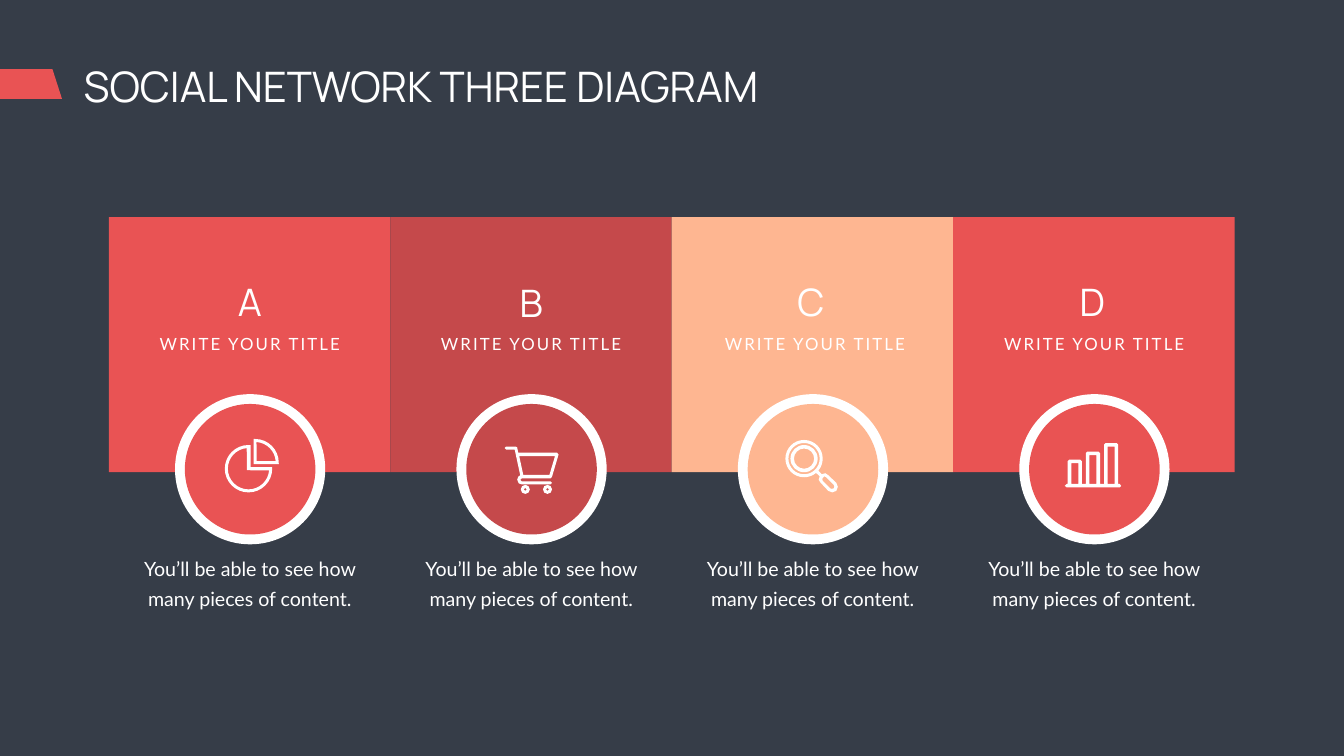
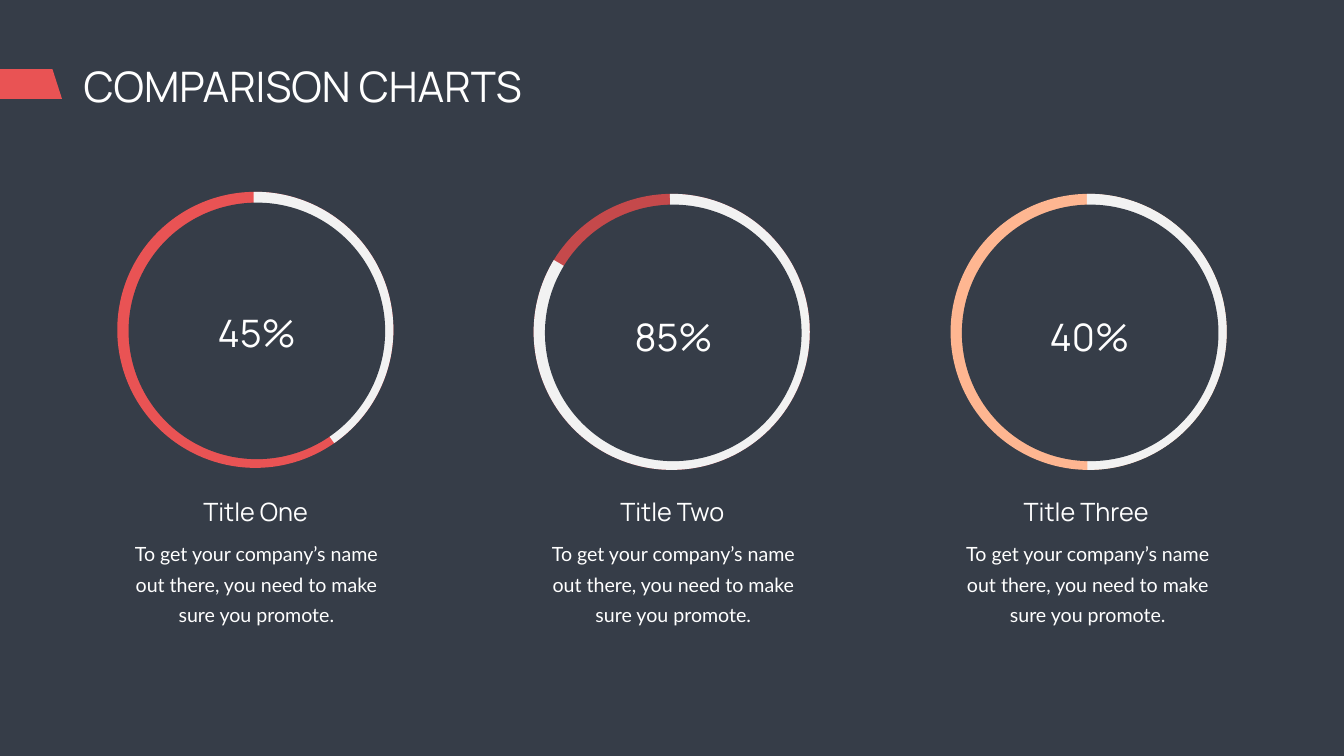
from math import cos, radians, sin, tan

from lxml.etree import SubElement
from pptx import Presentation
from pptx.dml.color import RGBColor
from pptx.enum.shapes import MSO_SHAPE
from pptx.enum.text import MSO_ANCHOR, MSO_AUTO_SIZE, PP_ALIGN
from pptx.oxml.ns import qn
from pptx.util import Inches, Pt

# Colours and fonts
SLATE = RGBColor(0x36, 0x3D, 0x48)
CORAL = RGBColor(0xE9, 0x53, 0x54)
RED = RGBColor(0xE9, 0x53, 0x53)
BRICK = RGBColor(0xC5, 0x49, 0x4B)
PEACH = RGBColor(0xFE, 0xB6, 0x91)
WHITE = RGBColor(0xFF, 0xFF, 0xFF)
PALE = RGBColor(0xF2, 0xF2, 0xF2)
HEADING, BODY = "Manrope", "Lato"

# Text styles
TITLE = {"name": HEADING, "size": Pt(60)}
FIGURE = {"name": HEADING, "size": Pt(54)}
SUBTITLE = {"name": HEADING, "size": Pt(36)}
LABEL = {"name": BODY, "size": Pt(24)}
CAPTION = {"name": BODY, "size": Pt(28)}

# Four cards: letter, colour, letter left and top, label left
BAND_LEFT, BAND_WIDTH = 2.16, 22.33
CARDS = [
    ("A", CORAL, 3.43, 5.49, 2.68),
    ("B", BRICK, 9.01, 5.51, 8.26),
    ("C", PEACH, 14.56, 5.49, 13.89),
    ("D", RED, 20.14, 5.49, 19.43),
]
CARD_CAPTION = "You’ll be able to see how many pieces of content."

# Three rings: left, top, fill, line, arc end; figure and its left and top;
# title and its left and width; caption left
RINGS = [
    (2.5, 3.98, CORAL, CORAL, 33.11, ("45%", 4.2, 6.09), ("Title One", 3.86, 2.42), 2.21),
    (10.76, 4.02, PEACH, BRICK, 126.86, ("85%", 12.47, 6.18), ("Title Two", 12.13, 2.41), 10.48),
    (19.03, 4.02, CORAL, PEACH, 54.35, ("40%", 20.72, 6.18), ("Title Three", 20.14, 2.81), 18.7),
]
RING_CAPTION = "To get your company’s name out there, you need to make sure you promote."
ARC_START = 161.56


def apply(target, values):
    for name, value in values.items():
        setattr(target, name, value)


def write(box, text, style, align=PP_ALIGN.CENTER, spacing=None, wrap=True,
          leading=None, insets=(0.1, 0.05)):
    side, edge = (Inches(inset) for inset in insets)
    frame = box.text_frame
    apply(frame, {
        "word_wrap": wrap, "auto_size": MSO_AUTO_SIZE.SHAPE_TO_FIT_TEXT,
        "vertical_anchor": MSO_ANCHOR.TOP, "margin_left": side,
        "margin_right": side, "margin_top": edge, "margin_bottom": edge,
    })
    para = frame.paragraphs[0]
    apply(para, {"alignment": align, "line_spacing": leading or 1.0})
    span = para.add_run()
    span.text = text
    apply(span.font, {**style, "bold": False})
    span.font.color.rgb = WHITE
    if spacing:
        span._r.get_or_add_rPr().set("spc", str(spacing * 100))


def add_text(page, text, style, left, top, width, height, **options):
    box = page.shapes.add_textbox(Inches(left), Inches(top), Inches(width), Inches(height))
    write(box, text, style, **options)


def add_caption(page, text, left, top, width, height):
    add_text(page, text, CAPTION, left, top, width, height,
             leading=Pt(43), insets=(0.24, 0.12))


def paint(shape, fill, line=None):
    shape.shadow.inherit = False
    if fill is None:
        shape.fill.background()
    else:
        shape.fill.solid()
        shape.fill.fore_color.rgb = fill
    if line is None:
        shape.line.fill.background()
    else:
        shape.line.color.rgb = line
        shape.line.width = Pt(25)


def add_figure(page, preset, left, top, width, height, fill=None, line=None):
    shape = page.shapes.add_shape(preset, Inches(left), Inches(top),
                                  Inches(width), Inches(height))
    paint(shape, fill, line)
    return shape


def add_outline(page, contours, fill):
    """Closed contours; a step is a point, or two control points and a point."""
    builder = None
    for contour in contours:
        first, *rest = [(Inches(step[-2]), Inches(step[-1])) for step in contour]
        if builder is None:
            builder = page.shapes.build_freeform(*first, scale=1.0)
        else:
            builder.move_to(*first)
        builder.add_line_segments(rest, close=True)
    shape = builder.convert_to_shape()
    paint(shape, fill)
    steps = [step for contour in contours for step in contour[1:]]
    for segment, step in zip(list(shape._element.iter(qn("a:lnTo"))), steps):
        if len(step) == 6:
            bend(segment, step, shape)


def bend(segment, step, shape):
    """Turn a straight segment into a Bézier curve."""
    segment.tag = qn("a:cubicBezTo")
    segment.remove(segment[0])
    for x, y in zip(step[::2], step[1::2]):
        SubElement(segment, qn("a:pt"), x=str(Inches(x) - shape.left),
                   y=str(Inches(y) - shape.top))


def arc(x, y, radius, start=0, end=360):
    """Steps clockwise along an arc, cut at the quarters, degrees from the right."""
    stops = [start] + [a for a in range(0, end, 90) if a > start] + [end]
    steps = [(x + radius * cos(radians(start)), y + radius * sin(radians(start)))]
    for a, b in zip(map(radians, stops), map(radians, stops[1:])):
        pull = 4 / 3 * tan((b - a) / 4)
        steps.append((
            x + radius * (cos(a) - pull * sin(a)), y + radius * (sin(a) + pull * cos(a)),
            x + radius * (cos(b) + pull * sin(b)), y + radius * (sin(b) - pull * cos(b)),
            x + radius * cos(b), y + radius * sin(b),
        ))
    return steps


# Icons, in slide inches
def add_pie_icon(page):
    add_outline(page, [
        [(4.97, 8.83), (4.97, 9.27), (5.4, 9.27)] + arc(4.93, 9.3, 0.47, 0, 270),
        [(4.9, 9.33)] + arc(4.93, 9.3, 0.41, 5, 265),
    ], WHITE)
    add_outline(page, [
        [(5.03, 9.21), (5.03, 8.71)] + arc(5.06, 9.18, 0.47, 270, 360) + [(5.53, 9.21)],
        [(5.09, 9.15)] + arc(5.06, 9.18, 0.41, 274, 356),
    ], WHITE)


def add_cart_icon(page):
    basket = [(11.01, 9.05), (10.9, 9.42), (10.38, 9.42), (10.3, 9.05)]
    frame = [
        (10.04, 8.86), (10.23, 8.86), (10.26, 8.88), (10.28, 8.98), (11.05, 8.98),
        (11.08, 9.02), (10.95, 9.46), (10.92, 9.49), (10.35, 9.49), (10.32, 9.52),
        (10.35, 9.55), (10.92, 9.55), (10.95, 9.58), (10.92, 9.61), (10.35, 9.61),
        (10.29, 9.59), (10.26, 9.52), (10.28, 9.46), (10.32, 9.43), (10.21, 8.92),
        (10.04, 8.92), (10.01, 8.89),
    ]
    add_outline(page, [frame, basket], WHITE)
    for x in (10.42, 10.86):
        add_outline(page, [arc(x, 9.71, 0.09), arc(x, 9.71, 0.03)], WHITE)


def add_magnifier_icon(page):
    x, y = 15.95, 9.1
    handle = [
        (16.3, 9.41), (16.37, 9.39), (16.43, 9.43), (16.59, 9.58), (16.62, 9.66),
        (16.59, 9.74), (16.51, 9.77), (16.43, 9.74), (16.28, 9.58), (16.24, 9.52),
        (16.26, 9.45),
    ]
    slot = [
        (16.54, 9.69), (16.5, 9.7), (16.47, 9.69), (16.32, 9.54), (16.31, 9.5),
        (16.35, 9.45), (16.39, 9.47), (16.54, 9.62), (16.55, 9.66),
    ]
    add_outline(page, [arc(x, y, 0.27), arc(x, y, 0.2)], WHITE)
    add_outline(page, [arc(x, y, 0.37, 50, 400) + handle, arc(x, y, 0.31), slot], WHITE)


def add_bars_icon(page):
    base, wall = 9.6, 0.07
    outline = [(21.16, 9.67), (21.12, 9.64), (21.16, base)]
    holes = []
    for left, top in [(21.18, 9.12), (21.54, 8.96), (21.9, 8.79)]:
        right = left + 0.28
        outline += [(left, base), (left, top + 0.03), (left + 0.03, top),
                    (right - 0.03, top), (right, top + 0.03), (right, base)]
        holes.append([(left + wall, base), (left + wall, top + wall),
                      (right - wall, top + wall), (right - wall, base)])
    outline += [(22.21, base), (22.24, 9.64), (22.21, 9.67)]
    add_outline(page, [outline] + holes, WHITE)


def add_page(deck, title):
    page = deck.slides.add_slide(deck.slide_layouts[5])
    heading = page.shapes.title
    apply(heading, {"left": Inches(1.56), "top": Inches(1.16),
                    "width": Inches(14.69), "height": Inches(1.11)})
    write(heading, title, TITLE, align=PP_ALIGN.LEFT)
    add_outline(page, [[(1.04, 1.37), (0, 1.37), (0, 1.96), (1.23, 1.96)]], CORAL)
    return page


def add_cards(page):
    width = BAND_WIDTH / len(CARDS)
    lefts = [BAND_LEFT + index * width for index in range(len(CARDS))]
    for left, (_, colour, *_) in zip(lefts, CARDS):
        add_figure(page, MSO_SHAPE.RECTANGLE, left, 4.31, width, 5.06, colour)
    for left, (letter, colour, letter_left, letter_top, _) in zip(lefts, CARDS):
        for size, fill in [(2.98, WHITE), (2.59, colour)]:
            add_figure(page, MSO_SHAPE.OVAL, left + (width - size) / 2 + 0.01,
                       9.31 - size / 2, size, size, fill)
        add_text(page, letter, FIGURE, letter_left, letter_top, 3.05, 1.01, spacing=3)
    for *_, label_left in CARDS:
        add_text(page, "WRITE YOUR TITLE", LABEL, label_left, 6.57, 4.55, 0.5, spacing=3)
    for add_icon in (add_pie_icon, add_cart_icon, add_magnifier_icon, add_bars_icon):
        add_icon(page)
    for left in lefts:
        add_caption(page, CARD_CAPTION, left + 0.42, 10.8, 4.75, 1.39)


def add_ring(page, left, top, fill, line, arc_end, figure):
    size, hole = 5.13, 5.09
    add_figure(page, MSO_SHAPE.OVAL, left, top, size, size, fill, line)
    track = add_figure(page, MSO_SHAPE.ARC, left, top, size, size, line=PALE)
    track.adjustments[0] = ARC_START
    track.adjustments[1] = arc_end
    add_figure(page, MSO_SHAPE.OVAL, left + 0.05, top + 0.04, hole, hole, SLATE)
    text, text_left, text_top = figure
    add_text(page, text, FIGURE, text_left, text_top, 1.78, 1.01, wrap=False)


def main():
    deck = Presentation()
    deck.slide_width, deck.slide_height = Inches(26.66), Inches(15)
    backdrop = deck.slide_master.background.fill
    backdrop.solid()
    backdrop.fore_color.rgb = SLATE

    # Four cards with icons
    add_cards(add_page(deck, "SOCIAL NETWORK THREE DIAGRAM"))

    # Three progress rings, then their titles and captions
    page = add_page(deck, "COMPARISON CHARTS")
    for *ring, _, _ in RINGS:
        add_ring(page, *ring)
    for *_, (title, left, width), caption_left in RINGS:
        add_text(page, title, SUBTITLE, left, 9.8, width, 0.71, wrap=False)
        add_caption(page, RING_CAPTION, caption_left, 10.51, 5.75, 1.99)

    deck.save("out.pptx")


if __name__ == "__main__":
    main()
